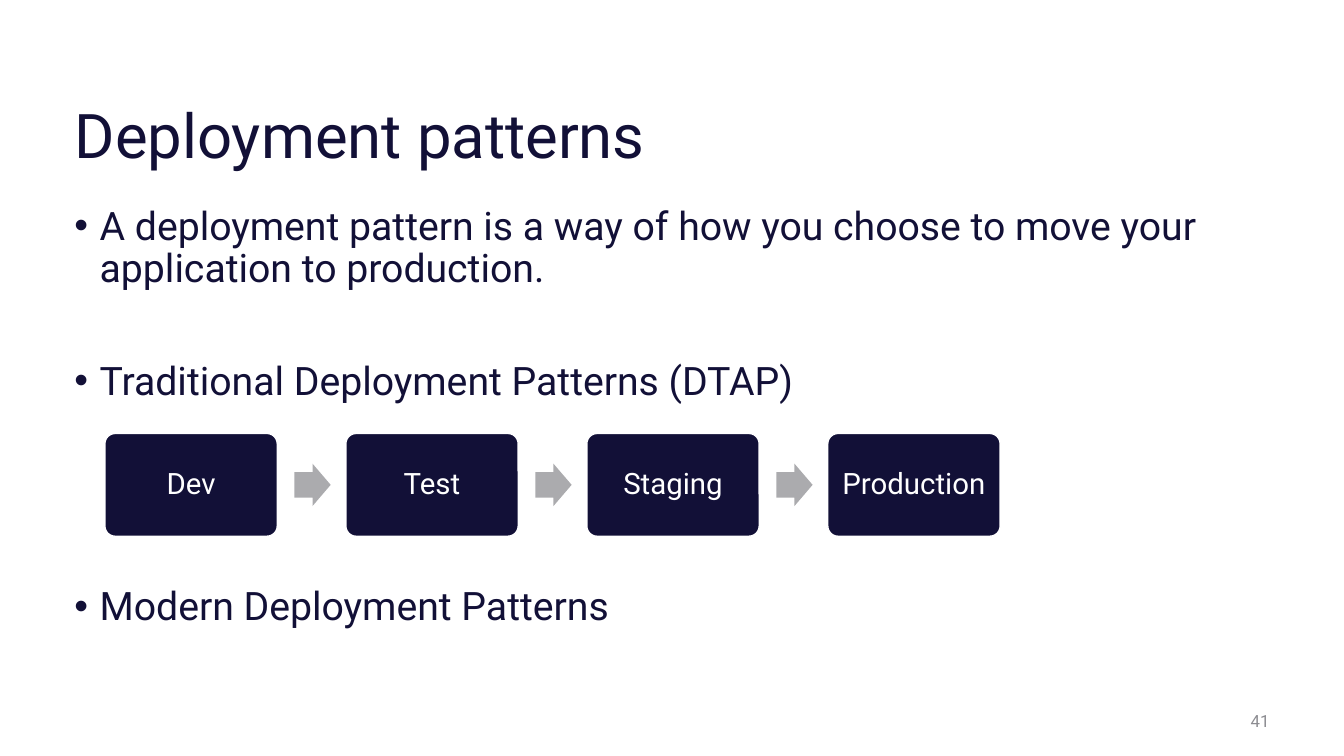
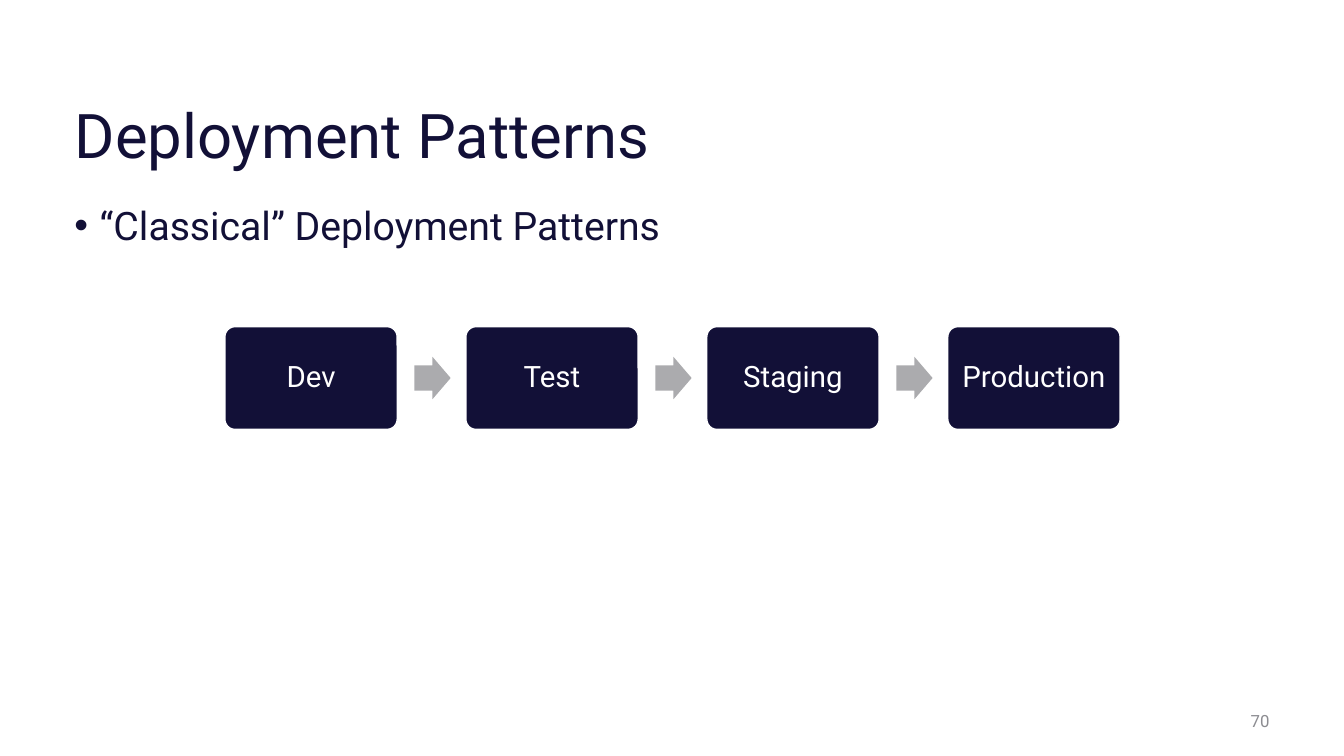
from lxml.etree import SubElement
from pptx import Presentation
from pptx.dml.color import RGBColor
from pptx.enum.shapes import MSO_SHAPE as Shape
from pptx.enum.text import MSO_ANCHOR as Anchor, PP_ALIGN as Align
from pptx.oxml.ns import qn
from pptx.util import Emu, Pt

# Shared style: 100 px to the inch
SCALE = 9144
FONT = "Roboto"
COLORS = {"navy": "121037", "white": "FFFFFF", "arrow": "ABABAE", "number": "8C8C91"}
TITLE_BOX = (64, 90, 1205, 95)
BODY_BOX = (64, 200, 1205, 461)
NUMBER_BOX = (939, 695, 330, 40)
TITLE_ONLY = 5

# Flow of environments
STAGES = ["Dev", "Test", "Staging", "Production"]
FLOW_SIZE = (888, 102)
STAGE_WIDTH = 171
STAGE_INSET = (4, 4)
ARROW_SIZE = (36, 42)
ARROW_LEAD = 17


def px(*lengths):
    return [Emu(length * SCALE) for length in lengths]


def rgb(name):
    return RGBColor.from_string(COLORS[name])


def add_bullet(paragraph, indent=25):
    props = paragraph._p.get_or_add_pPr()
    props.set("marL", str(indent * SCALE))
    props.set("indent", str(-indent * SCALE))
    SubElement(props, qn("a:buFont")).set("typeface", "Arial")
    SubElement(props, qn("a:buChar")).set("char", "•")


def write(frame, text, size=28, color="navy", align=Align.LEFT, anchor=Anchor.MIDDLE,
          spacing=0.9, inset=(10, 5), bullet=False, gaps=()):
    """Fill a frame, one paragraph a line; gaps are points before later paragraphs."""
    frame.word_wrap = True
    frame.vertical_anchor = anchor
    frame.margin_left = frame.margin_right = px(inset[0])[0]
    frame.margin_top = frame.margin_bottom = px(inset[1])[0]
    for index, line in enumerate(text.split("\n")):
        paragraph = frame.add_paragraph() if index else frame.paragraphs[0]
        if bullet:
            add_bullet(paragraph)
        paragraph.alignment = align
        paragraph.line_spacing = spacing
        paragraph.space_before = Pt(gaps[index - 1] if index else 0)
        run = paragraph.add_run()
        run.text = line
        run.font.name = FONT
        run.font.size = Pt(size)
        run.font.color.rgb = rgb(color)


def add_block(slide, kind, box, fill, adjustments, line=None):
    block = slide.shapes.add_shape(kind, *px(*box))
    block.shadow.inherit = False
    block.fill.solid()
    block.fill.fore_color.rgb = rgb(fill)
    if line:
        block.line.color.rgb = rgb(line)
        block.line.width = Pt(1)
    else:
        block.line.fill.background()
    for index, value in enumerate(adjustments):
        block.adjustments[index] = value
    return block


def add_flow(slide, box):
    """Stages spread evenly over the box, with an arrow in each gap."""
    left, top, width, height = box
    pitch = (width - STAGE_WIDTH) // (len(STAGES) - 1)
    arrow_width, arrow_height = ARROW_SIZE
    for index, name in enumerate(STAGES):
        x = left + index * pitch
        stage = add_block(slide, Shape.ROUNDED_RECTANGLE, (x, top, STAGE_WIDTH, height),
                          "navy", [0.1], line="white")
        write(stage.text_frame, name, size=21, color="white", align=Align.CENTER,
              inset=STAGE_INSET)
        if index < len(STAGES) - 1:
            arrow_box = (x + STAGE_WIDTH + ARROW_LEAD, top + (height - arrow_height) // 2,
                         arrow_width, arrow_height)
            add_block(slide, Shape.RIGHT_ARROW, arrow_box, "arrow", [0.6, 0.5])


def add_pattern_slide(deck, title, bullets, number, flow_at, gaps=()):
    slide = deck.slides.add_slide(deck.slide_layouts[TITLE_ONLY])
    # Title
    heading = slide.shapes.title
    heading.left, heading.top, heading.width, heading.height = px(*TITLE_BOX)
    write(heading.text_frame, title, size=44)
    # Bullets
    body = slide.shapes.add_textbox(*px(*BODY_BOX))
    write(body.text_frame, "\n".join(bullets), anchor=Anchor.TOP, bullet=True, gaps=gaps)
    # Page number
    page = slide.shapes.add_textbox(*px(*NUMBER_BOX))
    write(page.text_frame, number, size=12, color="number", align=Align.RIGHT, spacing=1.0)
    # Flow
    add_flow(slide, (*flow_at, *FLOW_SIZE))


def main():
    deck = Presentation()
    deck.slide_width, deck.slide_height = px(1333, 750)
    add_pattern_slide(
        deck, "Deployment patterns",
        ["A deployment pattern is a way of how you choose to move your application to production.",
         "Traditional Deployment Patterns (DTAP)",
         "Modern Deployment Patterns"],
        number="41", flow_at=(104, 430), gaps=(50, 131))
    add_pattern_slide(deck, "Deployment Patterns", ["“Classical” Deployment Patterns"],
                      number="70", flow_at=(223, 324))
    deck.save("out.pptx")


if __name__ == "__main__":
    main()
